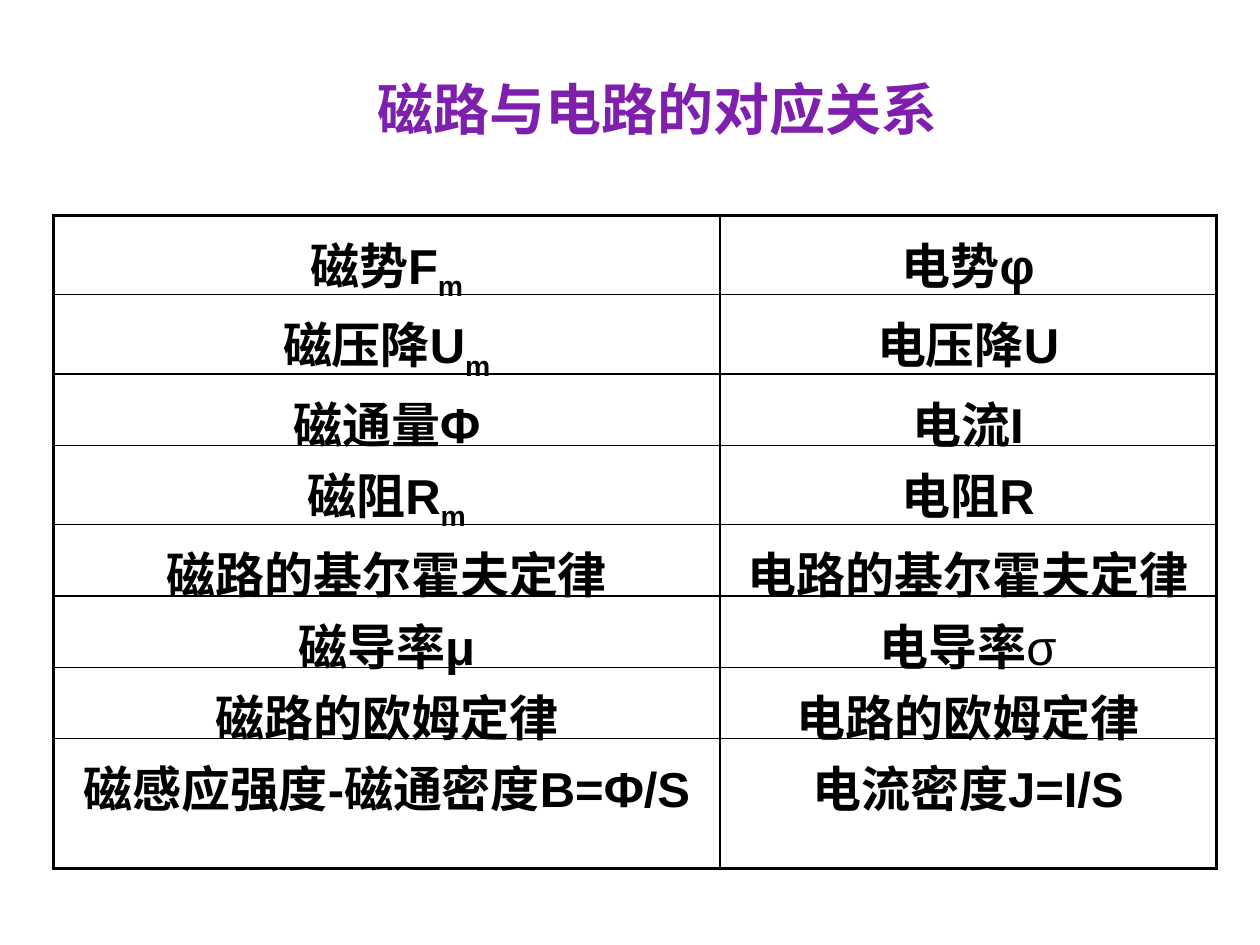
from lxml import etree
from pptx import Presentation
from pptx.dml.color import RGBColor
from pptx.enum import text
from pptx.oxml.ns import qn
from pptx.util import Cm, Pt

ROWS = [
    ("磁势F_m", "电势φ"),
    ("磁压降U_m", "电压降U"),
    ("磁通量Φ", "电流I"),
    ("磁阻R_m", "电阻R"),
    ("磁路的基尔霍夫定律", "电路的基尔霍夫定律"),
    ("磁导率μ", "电导率*σ"),
    ("磁路的欧姆定律", "电路的欧姆定律"),
    ("磁感应强度-磁通密度B=Φ/S", "电流密度J=I/S"),
]
THIN, THICK = 1, 2.25


def color(code):
    return RGBColor.from_string(code)


def write(para, words, size=28, ink="000000", bold=True, base=0):
    run = para.add_run()
    run.text = words
    font = run.font
    font.name, font.size, font.bold = "Arial", Pt(size), bold
    font.color.rgb = color(ink)
    if base:
        run._r.get_or_add_rPr().set("baseline", str(base * 1000))


def term(para, words):
    """Write a term; _ starts a subscript and * a light symbol."""
    if "*" in words:
        name, sign = words.split("*")
        write(para, name)
        write(para, sign, bold=False)
    else:
        name, _, sub = words.partition("_")
        write(para, name)
        if sub:
            write(para, sub, base=-25)


def edge(cell, side, width, ink="000000"):
    line = etree.SubElement(cell._tc.get_or_add_tcPr(), qn("a:" + side),
                            w=str(Pt(width)))
    fill = etree.SubElement(line, qn("a:solidFill"))
    etree.SubElement(fill, qn("a:srgbClr"), val=ink)


def title(slide, left, top, width, height):
    frame = slide.shapes.add_textbox(left, top, width, height).text_frame
    frame.word_wrap = True
    write(frame.paragraphs[0], "磁路与电路的对应关系", size=32, ink="7E1FAD")


def grid(slide, left, top, width, height):
    count = len(ROWS)
    table = slide.shapes.add_table(count, 2, left, top, width, height).table
    table.first_row = table.horz_banding = False
    table.columns[0].width = Cm(13.43)
    table.columns[1].width = width - Cm(13.43)
    for r, pair in enumerate(ROWS):
        for c, words in enumerate(pair):
            cell = table.cell(r, c)
            cell.margin_top, cell.margin_bottom = Cm(0.25), 0
            # Heavy lines on the outside, thin ones within
            outer = {"lnL": c == 0, "lnR": c == 1,
                     "lnT": r == 0, "lnB": r == count - 1}
            for side, heavy in outer.items():
                edge(cell, side, THICK if heavy else THIN)
            cell.fill.background()
            para = cell.text_frame.paragraphs[0]
            para.alignment = text.PP_ALIGN.CENTER
            term(para, words)


def main():
    deck = Presentation()
    deck.slide_width, deck.slide_height = Cm(25.4), Cm(19.05)
    slide = deck.slides.add_slide(deck.slide_layouts[6])
    # Heading
    title(slide, Cm(7.36), Cm(1.37), Cm(13.2), Cm(1.6))
    # Magnetic terms beside their electric counterparts
    grid(slide, Cm(1.08), Cm(4.34), Cm(23.44), Cm(11.5))
    deck.save("out.pptx")


if __name__ == "__main__":
    main()
